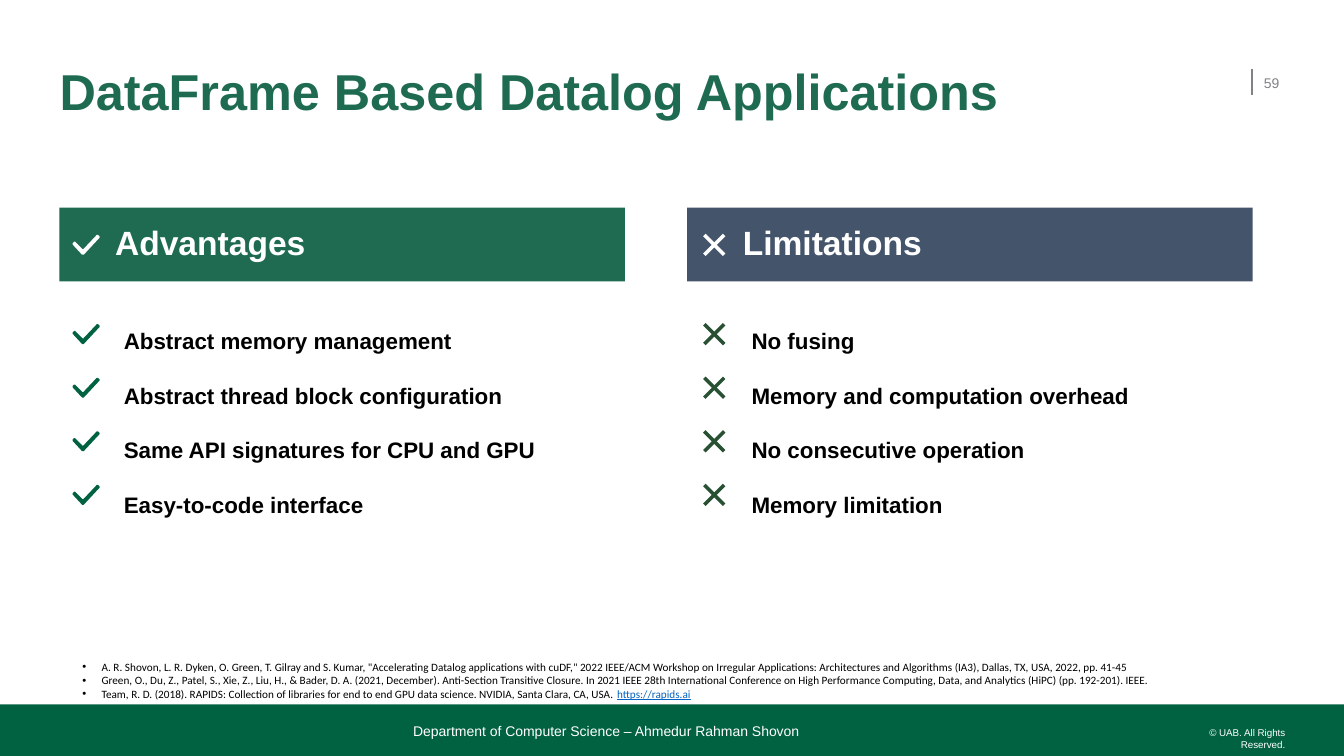
from dataclasses import dataclass
from typing import Callable, Optional

from lxml.etree import SubElement
from pptx import Presentation
from pptx.dml.color import RGBColor
from pptx.enum.shapes import MSO_CONNECTOR as Connector, MSO_SHAPE as Preset
from pptx.enum.text import MSO_ANCHOR as Anchor, MSO_AUTO_SIZE as AutoSize, PP_ALIGN as Align
from pptx.oxml.ns import qn
from pptx.shapes.autoshape import Shape
from pptx.slide import Slide
from pptx.util import Cm, Pt

WHITE = RGBColor(0xFF, 0xFF, 0xFF)
BLACK = RGBColor(0x00, 0x00, 0x00)
GRAY = RGBColor(0x80, 0x82, 0x85)
GREEN = RGBColor(0x1E, 0x6B, 0x51)
BAND_GREEN = RGBColor(0x00, 0x62, 0x41)
CROSS_GREEN = RGBColor(0x28, 0x51, 0x34)
SLATE = RGBColor(0x44, 0x54, 0x6A)
LINK_BLUE = RGBColor(0x05, 0x63, 0xC1)

HEADING_TOP, HEADING_MARK_TOP = 5.23, 5.92
LIST_TOP, FIRST_MARK_TOP, MARK_PITCH = 8.2, 8.17, 1.35
CROSS_SIZE = 0.5
# Tick outline in hundredths of a centimetre
TICK = [(24, 50), (0, 24), (0, 21), (4, 17), (6, 17), (25, 36), (27, 36),
        (61, 0), (64, 0), (68, 4), (68, 7), (28, 50)]

REFERENCES = [
    'A. R. Shovon, L. R. Dyken, O. Green, T. Gilray and S. Kumar, "Accelerating Datalog '
    'applications with cuDF," 2022 IEEE/ACM Workshop on Irregular Applications: Architectures '
    'and Algorithms (IA3), Dallas, TX, USA, 2022, pp. 41-45',
    'Green, O., Du, Z., Patel, S., Xie, Z., Liu, H., & Bader, D. A. (2021, December). '
    'Anti-Section Transitive Closure. In 2021 IEEE 28th International Conference on High '
    'Performance Computing, Data, and Analytics (HiPC) (pp. 192-201). IEEE.',
    'Team, R. D. (2018). RAPIDS: Collection of libraries for end to end GPU data science. '
    'NVIDIA, Santa Clara, CA, USA. ',
]


def place(box: Shape, left: float, top: float, width: float, height: float) -> None:
    box.left, box.top, box.width, box.height = Cm(left), Cm(top), Cm(width), Cm(height)


def add_span(para, text: str, size: float, color: RGBColor, font: str = "Arial",
             bold: bool = False, underline: bool = False) -> None:
    span = para.add_run()
    span.text = text
    span.font.name, span.font.size, span.font.bold = font, Pt(size), bold
    span.font.color.rgb = color
    if underline:
        span.font.underline = True


def write(box: Shape, lines: list[str], *, align: Align = Align.LEFT,
          anchor: Anchor = Anchor.TOP, margins: tuple = (0, 0, 0, 0),
          first_spacing: float = 1.0, spacing: float = 1.0, before: float = 0,
          bullet: Optional[str] = None, hang: float = 0, **style) -> None:
    """Fill a shape with one paragraph per line; margins are left, top, right, bottom."""
    frame = box.text_frame
    frame.word_wrap, frame.auto_size = True, AutoSize.NONE
    frame.vertical_anchor = anchor
    (frame.margin_left, frame.margin_top,
     frame.margin_right, frame.margin_bottom) = map(Cm, margins)
    for index, line in enumerate(lines):
        para = frame.add_paragraph() if index else frame.paragraphs[0]
        para.alignment = align
        para.line_spacing = spacing if index else first_spacing
        para.space_before, para.space_after = Pt(before if index else 0), Pt(0)
        properties = para._p.get_or_add_pPr()
        properties.set("marL", str(Cm(hang)))
        properties.set("indent", str(-Cm(hang)))
        if bullet:
            SubElement(properties, qn("a:buFont")).set("typeface", "Arial")
            SubElement(properties, qn("a:buChar")).set("char", bullet)
        else:
            SubElement(properties, qn("a:buNone"))
        add_span(para, line, **style)


def add_text(slide: Slide, bounds: tuple, lines: list[str], **style) -> Shape:
    box = slide.shapes.add_textbox(*map(Cm, bounds))
    write(box, lines, **style)
    return box


def add_block(slide: Slide, bounds: tuple, color: RGBColor) -> Shape:
    block = slide.shapes.add_shape(Preset.RECTANGLE, *map(Cm, bounds))
    block.shadow.inherit = False
    block.fill.solid()
    block.fill.fore_color.rgb = color
    block.line.fill.background()
    return block


def add_line(shapes, ends: tuple, color: RGBColor, width: float) -> None:
    line = shapes.add_connector(Connector.STRAIGHT, *map(Cm, ends))
    line.line.color.rgb, line.line.width = color, Pt(width)
    SubElement(line._element.spPr, qn("a:effectLst"))


def add_tick(slide: Slide, left: float, top: float, color: RGBColor) -> None:
    builder = slide.shapes.build_freeform(*TICK[0], scale=Cm(0.01))
    builder.add_line_segments(TICK[1:], close=True)
    tick = builder.convert_to_shape(Cm(left), Cm(top))
    tick.shadow.inherit = False
    tick.fill.solid()
    tick.fill.fore_color.rgb = color
    tick.line.fill.background()


def add_cross(slide: Slide, left: float, top: float, color: RGBColor) -> None:
    group = slide.shapes.add_group_shape()
    right, bottom = left + CROSS_SIZE, top + CROSS_SIZE
    add_line(group.shapes, (left, top, right, bottom), color, 2.5)
    add_line(group.shapes, (left, bottom, right, top), color, 2.5)


@dataclass(frozen=True)
class Column:
    heading: str
    points: list[str]
    left: float
    fill: RGBColor
    add_mark: Callable
    mark_inset: float
    mark_color: RGBColor


COLUMNS = [
    Column("Advantages",
           ["Abstract memory management", "Abstract thread block configuration",
            "Same API signatures for CPU and GPU", "Easy-to-code interface"],
           1.5, GREEN, add_tick, 0.33, BAND_GREEN),
    Column("Limitations",
           ["No fusing", "Memory and computation overhead",
            "No consecutive operation", "Memory limitation"],
           17.32, SLATE, add_cross, 0.43, CROSS_GREEN),
]


def add_column(slide: Slide, column: Column, body: Shape) -> None:
    place(body, column.left + 1.37, LIST_TOP, 12.85, 6.88)
    write(body, column.points, margins=(0.25, 0.13, 0.25, 0.13), first_spacing=0.9,
          spacing=1.5, before=10, size=16, color=BLACK, bold=True)
    heading = add_block(slide, (column.left, HEADING_TOP, 14.25, 1.86), column.fill)
    write(heading, [column.heading], anchor=Anchor.MIDDLE, margins=(1.4, 0.13, 0.25, 0.13),
          first_spacing=0.9, size=24, color=WHITE, bold=True)
    mark_left = column.left + column.mark_inset
    column.add_mark(slide, mark_left, HEADING_MARK_TOP, WHITE)
    for row in range(len(column.points)):
        column.add_mark(slide, mark_left, FIRST_MARK_TOP + row * MARK_PITCH, column.mark_color)


def add_page_furniture(slide: Slide) -> None:
    add_line(slide.shapes, (31.55, 1.73, 31.55, 2.39), GRAY, 1)
    add_block(slide, (0, 17.75, 33.87, 1.3), BAND_GREEN)
    add_text(slide, (29.34, 18.31, 3.05, 0.3), ["© UAB. All Rights Reserved."],
             align=Align.RIGHT, size=7, color=WHITE)
    add_text(slide, (31.85, 1.57, 0.84, 1.02), ["59"], anchor=Anchor.MIDDLE,
             margins=(0, 0.13, 0, 0.13), size=10, color=GRAY)
    add_text(slide, (10.41, 18.06, 17.98, 0.58),
             ["Department of Computer Science – Ahmedur Rahman Shovon"],
             anchor=Anchor.BOTTOM, size=10, color=WHITE)


def main() -> None:
    deck = Presentation()
    deck.slide_width, deck.slide_height = Cm(33.87), Cm(19.05)
    slide = deck.slides.add_slide(deck.slide_layouts.get_by_name("Two Content"))
    title, *bodies = slide.placeholders
    add_page_furniture(slide)
    place(title, 1.5, 1.32, 29.54, 2.13)
    write(title, ["DataFrame Based Datalog Applications"], anchor=Anchor.MIDDLE,
          first_spacing=0.9, size=36, color=GREEN, bold=True)
    for column, body in zip(COLUMNS, bodies):
        add_column(slide, column, body)
    references = add_text(slide, (1.83, 16.51, 28.14, 1.27), REFERENCES,
                          margins=(0.25, 0.13, 0.25, 0.13), bullet="•", hang=0.48,
                          size=8, color=BLACK, font="Calibri")
    add_span(references.text_frame.paragraphs[-1], "https://rapids.ai", 8, LINK_BLUE,
             font="Calibri", underline=True)
    deck.save("out.pptx")


if __name__ == "__main__":
    main()
